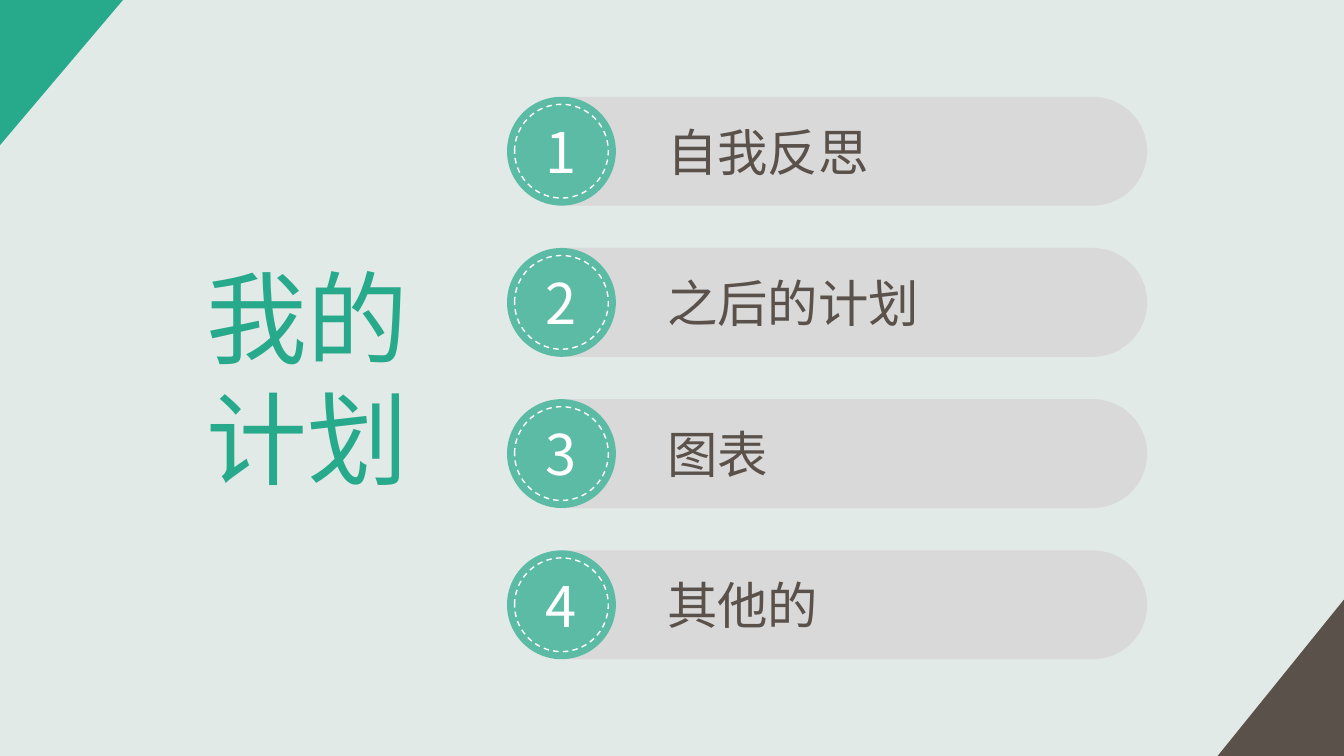
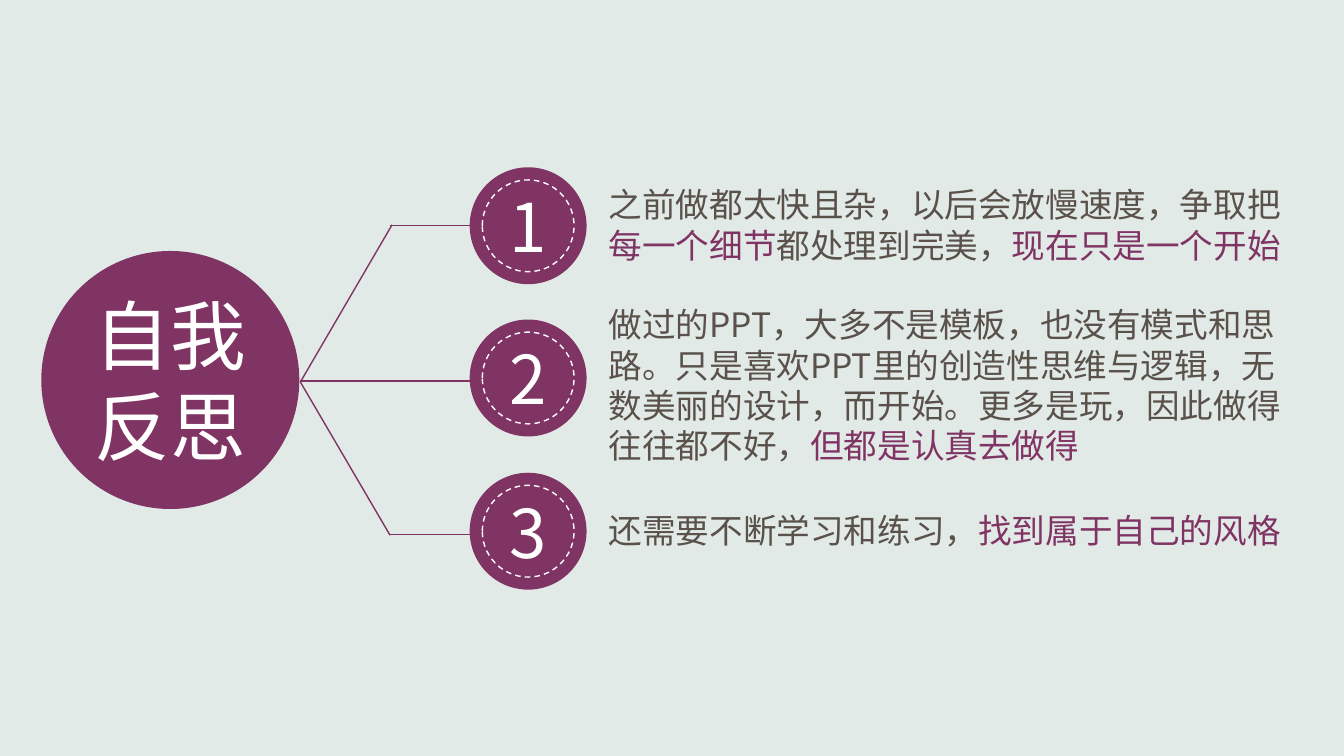
from dataclasses import dataclass

from lxml import etree
from pptx import Presentation
from pptx.dml.color import RGBColor
from pptx.enum.dml import MSO_LINE_DASH_STYLE as Dash
from pptx.enum.shapes import MSO_CONNECTOR as Connector, MSO_SHAPE as Shape
from pptx.enum.text import MSO_ANCHOR as Anchor, MSO_AUTO_SIZE as AutoSize, PP_ALIGN as Align
from pptx.oxml.ns import qn
from pptx.util import Inches, Pt


@dataclass(frozen=True)
class Theme:
    font: str = "Noto Sans CJK JP"
    background: str = "E1EAE7"
    green: str = "27A98C"
    mint: str = "5BBBA5"
    plum: str = "803463"
    brown: str = "5A514A"
    grey: str = "D9D9D9"
    white: str = "FFFFFF"
    title_size: int = 72
    hub_size: int = 54
    point_number_size: int = 48
    agenda_number_size: int = 40
    agenda_size: int = 36
    body_size: int = 24


THEME = Theme()


def rgb(code):
    return RGBColor.from_string(code)


def paint(shape, fill):
    shape.shadow.inherit = False
    shape.fill.solid()
    shape.fill.fore_color.rgb = rgb(fill)
    shape.line.fill.background()


def write(frame, lines, size, color, align=Align.LEFT):
    """Write lines, each a list of (text, color) runs; None means the default color."""
    for index, line in enumerate(lines):
        paragraph = frame.paragraphs[0] if index == 0 else frame.add_paragraph()
        paragraph.alignment = align
        for text, accent in line:
            run = paragraph.add_run()
            run.text = text
            run.font.size = Pt(size)
            run.font.color.rgb = rgb(accent or color)
            run.font.name = THEME.font
            east_asian = etree.SubElement(run.font._element, qn("a:ea"))
            east_asian.set("typeface", THEME.font)


def add_text(slide, left, top, width, height, lines, size, color):
    box = slide.shapes.add_textbox(Inches(left), Inches(top), Inches(width), Inches(height))
    box.text_frame.word_wrap = True
    box.text_frame.auto_size = AutoSize.SHAPE_TO_FIT_TEXT
    write(box.text_frame, lines, size, color)


def add_circle(slide, center_x, center_y, diameter):
    return slide.shapes.add_shape(
        Shape.OVAL, Inches(center_x - diameter / 2), Inches(center_y - diameter / 2),
        Inches(diameter), Inches(diameter))


def add_disc(slide, center_x, center_y, diameter, fill, words, size):
    disc = add_circle(slide, center_x, center_y, diameter)
    paint(disc, fill)
    disc.text_frame.vertical_anchor = Anchor.MIDDLE
    write(disc.text_frame, [[(word, None)] for word in words], size, THEME.white, Align.CENTER)


def add_badge(slide, center_x, center_y, diameter, ring_diameter, fill, number, size):
    """Numbered disc with a dashed ring inside its edge."""
    add_disc(slide, center_x, center_y, diameter, fill, [str(number)], size)
    ring = add_circle(slide, center_x, center_y, ring_diameter)
    ring.shadow.inherit = False
    ring.fill.background()
    ring.line.color.rgb = rgb(THEME.white)
    ring.line.width = Pt(1)
    ring.line.dash_style = Dash.DASH


def add_corner(slide, left, top, width, height, rotation, fill):
    """Right triangle turned by a quarter; the box given is the one seen."""
    triangle = slide.shapes.add_shape(
        Shape.RIGHT_TRIANGLE, Inches(left + (width - height) / 2),
        Inches(top + (height - width) / 2), Inches(height), Inches(width))
    triangle.rotation = rotation
    paint(triangle, fill)


def add_bar(slide, left, right, center_y, height):
    """Bar with a straight left end and a half-round right end."""
    radius = height / 2
    top, bottom, shoulder = center_y - radius, center_y + radius, right - radius
    corners = [(shoulder, top), (right, center_y), (shoulder, bottom), (left, bottom)]
    outline = slide.shapes.build_freeform(Inches(left), Inches(top))
    outline.add_line_segments([(Inches(x), Inches(y)) for x, y in corners], close=True)
    bar = outline.convert_to_shape()
    segments = list(bar._element.iter(qn("a:lnTo")))
    for segment, start in zip(segments[1:3], (-90, 0)):
        arc = etree.Element(qn("a:arcTo"))
        for name, value in (("wR", Inches(radius)), ("hR", Inches(radius)),
                            ("stAng", start * 60000), ("swAng", 90 * 60000)):
            arc.set(name, str(int(value)))
        segment.getparent().replace(segment, arc)
    paint(bar, THEME.grey)


def add_line(slide, start, end):
    line = slide.shapes.add_connector(
        Connector.STRAIGHT, *(Inches(value) for value in (*start, *end)))
    line.line.color.rgb = rgb(THEME.plum)
    line.line.width = Pt(1)
    etree.SubElement(line._element.spPr, qn("a:effectLst"))


def build_agenda(slide):
    add_corner(slide, 0, 0, 1.22, 1.44, 90, THEME.green)
    add_corner(slide, 12.08, 5.94, 1.26, 1.56, 270, THEME.brown)
    add_text(slide, 1.95, 2.49, 2.26, 2.52, [[("我的", None)], [("计划", None)]],
             THEME.title_size, THEME.green)
    for index, topic in enumerate(["自我反思", "之后的计划", "图表", "其他的"]):
        center_y = 1.5 * (index + 1)
        add_bar(slide, 5.59, 11.38, center_y, 1.08)
        add_badge(slide, 5.57, center_y, 1.08, 0.93, THEME.mint, index + 1,
                  THEME.agenda_number_size)
        add_text(slide, 6.52, center_y - 0.35, 2.99, 0.71, [[(topic, None)]],
                 THEME.agenda_size, THEME.brown)


def build_reflection(slide):
    plum = THEME.plum
    points = [
        (2.24, 1.78, 0.91, [
            [("之前做都太快且杂，以后会放慢速度，争取把", None)],
            [("每一个细节", plum), ("都处理到完美，", None), ("现在只是一个开始", plum)],
        ]),
        (3.75, 2.97, 1.72, [
            [("做过的PPT，大多不是模板，也没有模式和思", None)],
            [("路。只是喜欢PPT里的创造性思维与逻辑，无", None)],
            [("数美丽的设计，而开始。更多是玩，因此做得", None)],
            [("往往都不好，", None), ("但都是认真去做得", plum)],
        ]),
        (5.27, 5.01, 0.5, [
            [("还需要不断学习和练习，", None), ("找到属于自己的风格", plum)],
        ]),
    ]
    add_disc(slide, 1.69, 3.77, 2.56, plum, ["自我", "反思"], THEME.hub_size)
    fork = (2.98, 3.79)
    add_line(slide, (3.89, 2.23), fork)
    add_line(slide, fork, (3.87, 5.31))
    for branch_x, branch_y in ((2.98, 3.78), (3.87, 2.24), (3.87, 5.3)):
        add_line(slide, (branch_x, branch_y), (4.8, branch_y))
    for number, (center_y, top, height, lines) in enumerate(points, start=1):
        add_badge(slide, 5.24, center_y, 1.16, 0.91, plum, number, THEME.point_number_size)
        add_text(slide, 5.94, top, 6.98, height, lines, THEME.body_size, THEME.brown)


def main():
    deck = Presentation()
    deck.slide_width, deck.slide_height = Inches(40 / 3), Inches(7.5)
    backdrop = deck.slide_master.background.fill
    backdrop.solid()
    backdrop.fore_color.rgb = rgb(THEME.background)
    for build in (build_agenda, build_reflection):
        build(deck.slides.add_slide(deck.slide_layouts[6]))
    deck.save("out.pptx")


if __name__ == "__main__":
    main()
